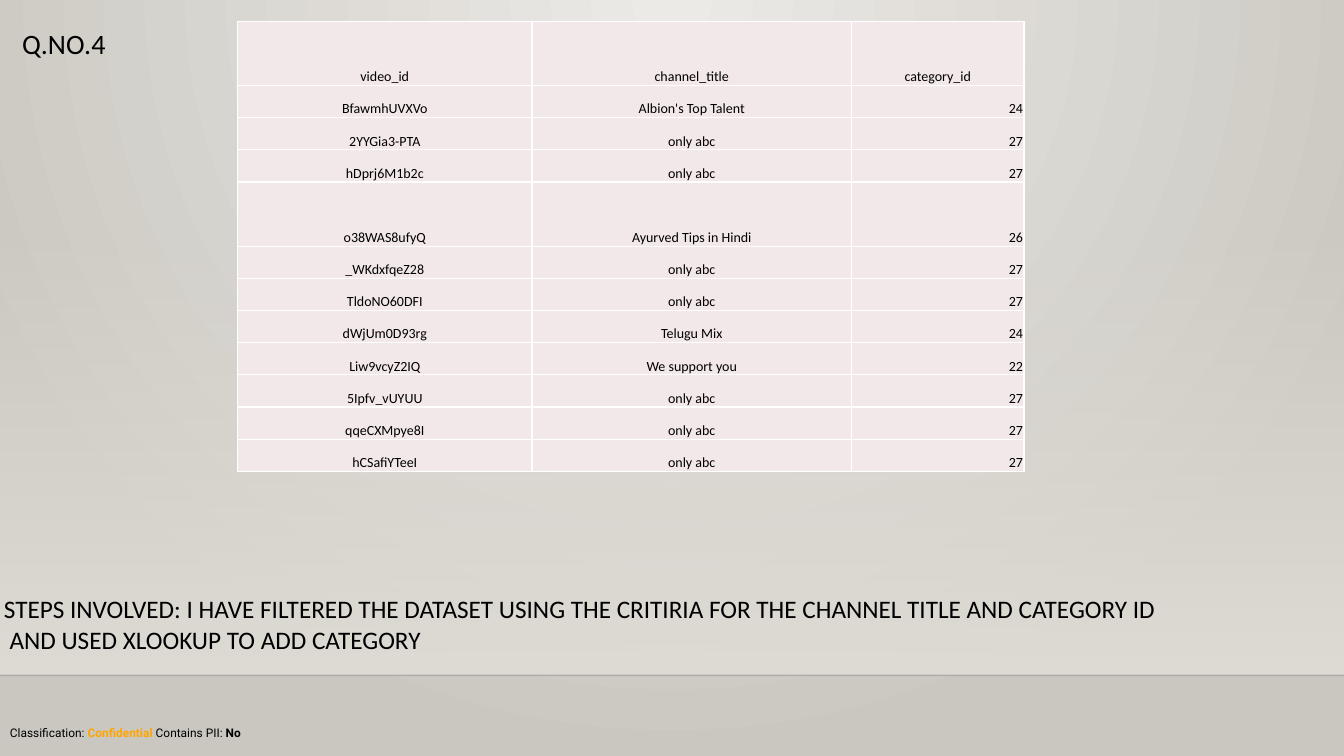
from dataclasses import dataclass

from lxml import etree
from pptx import Presentation
from pptx import util as u
from pptx.dml.color import RGBColor
from pptx.enum import shapes, text
from pptx.oxml import parse_xml
from pptx.oxml.ns import nsdecls, qn


@dataclass(frozen=True)
class Theme:
    font: str = "Calibri"
    footer_font: str = "Roboto"
    ink: str = "000000"
    accent: str = "FFA500"
    rule: str = "000001"
    cell: str = "F3E8E9"
    border: str = "FFFFFF"
    back_inner: str = "ECEAE7"
    back_outer: str = "CAC7C1"
    band: str = "DFDBD5"
    title_size: float = 20
    body_size: float = 18
    cell_size: float = 10
    footer_size: float = 8.5


@dataclass(frozen=True)
class Box:
    """Place in percent of the slide's width and height."""
    x: float
    y: float
    w: float
    h: float


@dataclass(frozen=True)
class Run:
    words: str
    color: str
    bold: bool = False


@dataclass(frozen=True)
class TextBlock:
    box: Box
    lines: list[list[Run]]
    font: str
    size: float
    wrap: bool = False


@dataclass(frozen=True)
class Video:
    video_id: str
    channel_title: str
    category_id: str
    units: int = 1  # row height in grid rows


T = Theme()
WIDTH, HEIGHT = u.Inches(13.33), u.Inches(7.5)
BAND = Box(0, 29.47, 100, 59.87)
TABLE = Box(17.68, 2.8, 58.51, 59.6)
COLUMNS = [21.9, 23.78, 12.83]

VIDEOS = [
    Video("video_id", "channel_title", "category_id", 2),
    Video("BfawmhUVXVo", "Albion's Top Talent", "24"),
    Video("2YYGia3-PTA", "only abc", "27"),
    Video("hDprj6M1b2c", "only abc", "27"),
    Video("o38WAS8ufyQ", "Ayurved Tips in Hindi", "26", 2),
    Video("_WKdxfqeZ28", "only abc", "27"),
    Video("TldoNO60DFI", "only abc", "27"),
    Video("dWjUm0D93rg", "Telugu Mix", "24"),
    Video("Liw9vcyZ2IQ", "We support you", "22"),
    Video("5Ipfv_vUYUU", "only abc", "27"),
    Video("qqeCXMpye8I", "only abc", "27"),
    Video("hCSafiYTeeI", "only abc", "27"),
]

TEXTS = [
    TextBlock(Box(0, 95.33, 100, 3.2),
              [[Run("Classification: ", T.ink), Run("Confidential", T.accent, True),
                Run(" Contains PII: ", T.ink), Run("No", T.ink, True)]],
              T.footer_font, T.footer_size, wrap=True),
    TextBlock(Box(0.9, 2.8, 8.48, 5.87), [[Run("Q.NO.4", T.ink)]], T.font, T.title_size),
    TextBlock(Box(-0.45, 77.87, 99.6, 9.47),
              [[Run("STEPS INVOLVED: I HAVE FILTERED THE DATASET USING THE CRITIRIA "
                    "FOR THE CHANNEL TITLE AND CATEGORY ID", T.ink)],
               [Run(" AND USED XLOOKUP TO ADD CATEGORY", T.ink)]],
              T.font, T.body_size),
]


def across(share: float) -> int:
    return round(WIDTH * share / 100)


def down(share: float) -> int:
    return round(HEIGHT * share / 100)


def place(box: Box) -> tuple[int, int, int, int]:
    return across(box.x), down(box.y), across(box.w), down(box.h)


def set_gradient(owner, stops: list[tuple[str, int]], direction: str) -> None:
    """Replace the first gradient in owner; stops are (colour, opacity percent)."""
    grad = owner.find(".//" + qn("a:gradFill"))
    last = len(stops) - 1
    marks = "".join(
        f'<a:gs pos="{i * 100000 // last}"><a:srgbClr val="{color}">'
        f'<a:alpha val="{opacity * 1000}"/></a:srgbClr></a:gs>'
        for i, (color, opacity) in enumerate(stops))
    grad.getparent().replace(grad, parse_xml(
        f'<a:gradFill {nsdecls("a")} rotWithShape="1"><a:gsLst>{marks}</a:gsLst>'
        f'{direction}</a:gradFill>'))


def draw_backdrop(s) -> None:
    # Page gradient
    s.background.fill.gradient()
    set_gradient(s.element, [(T.back_inner, 100), (T.back_outer, 100)],
                 '<a:path path="circle"><a:fillToRect l="43000" t="0" r="43000" '
                 'b="100000"/></a:path>')
    # Fading band
    sp = s.shapes.add_shape(shapes.MSO_SHAPE.RECTANGLE, *place(BAND))
    sp.shadow.inherit = False
    sp.line.fill.background()
    sp.fill.gradient()
    set_gradient(sp.element, [(T.band, 0), (T.band, 100)],
                 '<a:lin ang="5400000" scaled="0"/>')
    # Rule under the band
    y = down(BAND.y + BAND.h)
    rule = s.shapes.add_connector(shapes.MSO_CONNECTOR.STRAIGHT, 0, y, WIDTH, y)
    rule.line.width = u.Pt(1)
    rule.line.color.rgb = RGBColor.from_string(T.rule)
    color = rule.element.spPr.find(".//" + qn("a:srgbClr"))
    etree.SubElement(color, qn("a:alpha"), val="20000")
    etree.SubElement(rule.element.spPr, qn("a:effectLst"))


def draw_text(s, block: TextBlock) -> None:
    tf = s.shapes.add_textbox(*place(block.box)).text_frame
    tf.word_wrap = block.wrap
    tf.auto_size = text.MSO_AUTO_SIZE.SHAPE_TO_FIT_TEXT
    for i, line in enumerate(block.lines):
        p = tf.add_paragraph() if i else tf.paragraphs[0]
        p.font.name, p.font.size = block.font, u.Pt(block.size)
        for run in line:
            r = p.add_run()
            r.text = run.words
            r.font.name, r.font.size = block.font, u.Pt(block.size)
            r.font.bold = run.bold
            r.font.color.rgb = RGBColor.from_string(run.color)


def draw_cell(cell, words: str, align) -> None:
    props = cell._tc.get_or_add_tcPr()
    for side in ("lnL", "lnR", "lnT", "lnB"):
        props.append(parse_xml(
            f'<a:{side} {nsdecls("a")} w="12700"><a:solidFill>'
            f'<a:srgbClr val="{T.border}"/></a:solidFill></a:{side}>'))
    cell.fill.solid()
    cell.fill.fore_color.rgb = RGBColor.from_string(T.cell)
    cell.margin_left = cell.margin_right = cell.margin_top = u.Inches(0.01)
    cell.margin_bottom = 0
    cell.vertical_anchor = text.MSO_ANCHOR.BOTTOM
    p = cell.text_frame.paragraphs[0]
    p.text = words
    p.alignment = align
    p.font.name, p.font.size = T.font, u.Pt(T.cell_size)
    p.font.color.rgb = RGBColor.from_string(T.ink)


def draw_table(s, videos: list[Video]) -> None:
    table = s.shapes.add_table(len(videos), len(COLUMNS), *place(TABLE)).table
    table.first_row = table.horz_banding = False
    for column, share in zip(table.columns, COLUMNS):
        column.width = across(share)
    unit = TABLE.h / sum(v.units for v in videos)
    for i, v in enumerate(videos):
        table.rows[i].height = down(unit * v.units)
        center = text.PP_ALIGN.CENTER
        draw_cell(table.cell(i, 0), v.video_id, center)
        draw_cell(table.cell(i, 1), v.channel_title, center)
        draw_cell(table.cell(i, 2), v.category_id, text.PP_ALIGN.RIGHT if i else center)


def main() -> None:
    prs = Presentation()
    prs.slide_width, prs.slide_height = WIDTH, HEIGHT
    s = prs.slides.add_slide(prs.slide_layouts[6])
    draw_backdrop(s)
    for block in TEXTS:
        draw_text(s, block)
    draw_table(s, VIDEOS)
    prs.save("out.pptx")


if __name__ == "__main__":
    main()
